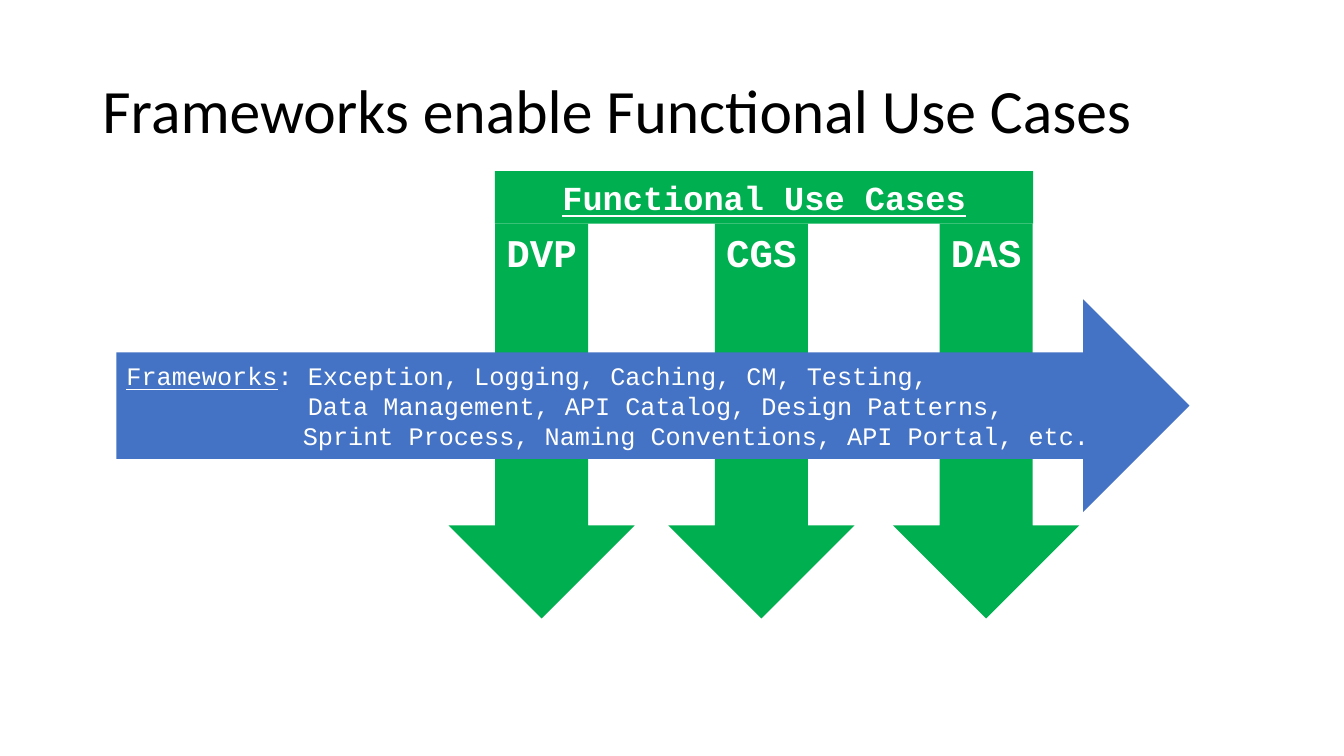
from pptx import Presentation
from pptx.dml.color import RGBColor
from pptx.enum.shapes import MSO_SHAPE as Shape
from pptx.enum.text import MSO_ANCHOR as Anchor, PP_ALIGN as Align
from pptx.util import Pt

COLORS = {"green": "00B050", "blue": "4472C4", "white": "FFFFFF", "black": "000000"}
MONO = "Courier New"
USE_CASES = {"DAS": 637.9, "CGS": 477.4, "DVP": 320.4}  # left edge of each arrow
FRAMEWORK_LINES = [  # text and left indent
    ("Data Management, API Catalog, Design Patterns,", 129.6),
    ("Sprint Process, Naming Conventions, API Portal, etc.", 126),
]


def color(name):
    return RGBColor.from_string(COLORS[name])


def add_text(para, text, size=18, font=MONO, ink="white", bold=False, underline=False):
    span = para.add_run()
    span.text = text
    span.font.size = Pt(size)
    span.font.name = font
    span.font.color.rgb = color(ink)
    span.font.bold = bold
    span.font.underline = underline


def add_block(page, kind, left, top, width, height, fill, anchor=Anchor.MIDDLE, align=Align.CENTER):
    """Add a filled, borderless shape and return its text frame."""
    block = page.shapes.add_shape(kind, Pt(left), Pt(top), Pt(width), Pt(height))
    block.shadow.inherit = False
    block.fill.solid()
    block.fill.fore_color.rgb = color(fill)
    block.line.fill.background()
    frame = block.text_frame
    frame.word_wrap = True
    frame.vertical_anchor = anchor
    frame.paragraphs[0].alignment = align
    return frame


def add_title(page, text):
    title = page.shapes.title
    title.left, title.top, title.width, title.height = Pt(66), Pt(28.8), Pt(828), Pt(104.4)
    frame = title.text_frame
    frame.vertical_anchor = Anchor.MIDDLE
    para = frame.paragraphs[0]
    para.alignment = Align.LEFT
    para.line_spacing = 0.9
    add_text(para, text, size=44, font="Calibri", ink="black")


def add_use_case(page, name, left):
    frame = add_block(page, Shape.DOWN_ARROW, left, 159.8, 133, 282, "green", anchor=Anchor.TOP)
    add_text(frame.paragraphs[0], name, size=28, bold=True)


def add_frameworks(page):
    frame = add_block(page, Shape.RIGHT_ARROW, 83.2, 213.8, 766.4, 152, "blue", align=Align.LEFT)
    first = frame.paragraphs[0]
    add_text(first, "Frameworks", underline=True)
    add_text(first, ": Exception, Logging, Caching, CM, Testing,")
    for text, indent in FRAMEWORK_LINES:
        para = frame.add_paragraph()
        para.alignment = Align.LEFT
        para._p.get_or_add_pPr().set("marL", str(Pt(indent)))
        add_text(para, text)


def add_banner(page):
    frame = add_block(page, Shape.RECTANGLE, 353.5, 122.3, 384.5, 37.5, "green")
    add_text(frame.paragraphs[0], "Functional Use Cases", size=24, bold=True, underline=True)


def main():
    deck = Presentation()
    deck.slide_width, deck.slide_height = Pt(960), Pt(540)
    page = deck.slides.add_slide(deck.slide_layouts[5])
    add_title(page, "Frameworks enable Functional Use Cases")
    for name, left in USE_CASES.items():
        add_use_case(page, name, left)
    add_frameworks(page)
    add_banner(page)
    deck.save("out.pptx")


if __name__ == "__main__":
    main()
